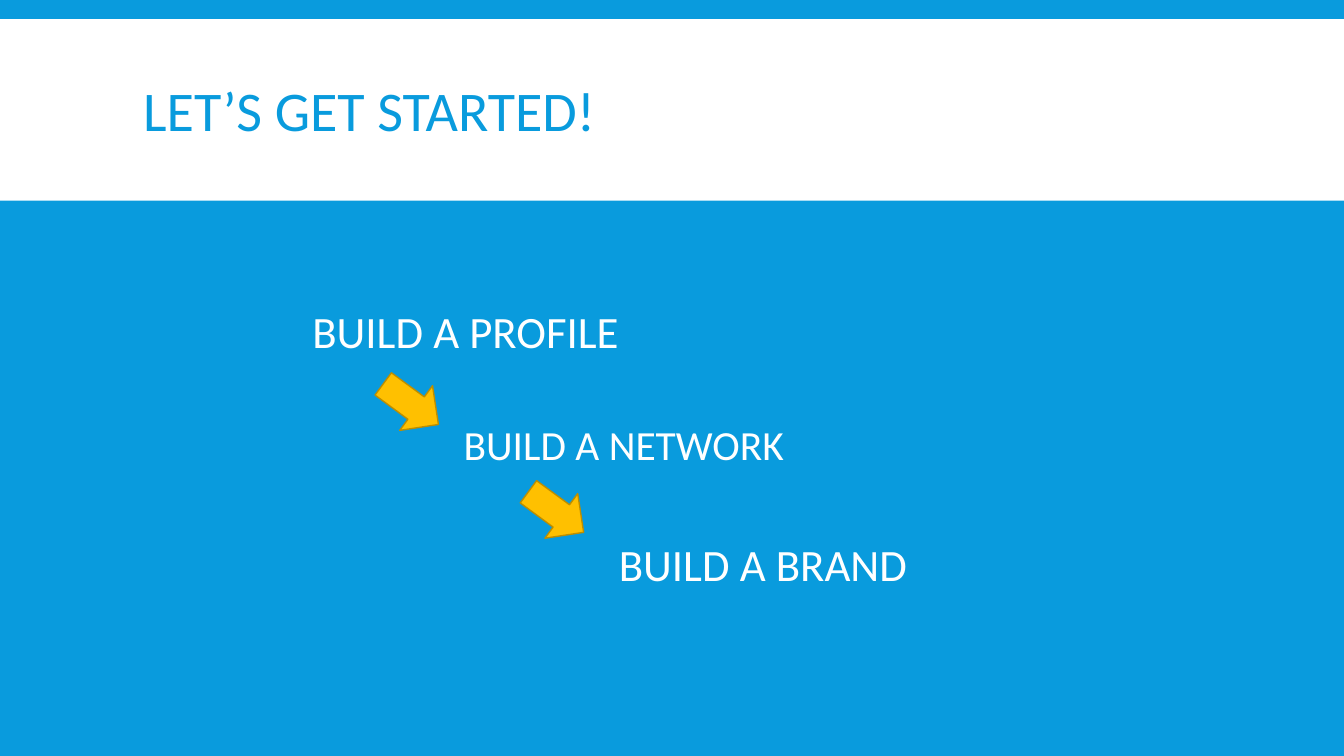
from pptx import Presentation
from pptx.dml.color import RGBColor
from pptx.enum.shapes import MSO_SHAPE as Shape
from pptx.enum.text import MSO_ANCHOR as Anchor, MSO_AUTO_SIZE as Fit, PP_ALIGN as Align
from pptx.util import Inches, Pt

COLORS = {"blue": "099BDD", "white": "FFFFFF", "gold": "FFC000", "edge": "BD8E00"}
FONT = "Calibri"
STEPS = [
    ("BUILD A PROFILE", 32, (3, 3.02, 3.64, 0.62)),
    ("BUILD A NETWORK", 29.6, (4.5, 4.16, 3.8, 0.67)),
    ("BUILD A BRAND", 32, (6.04, 5.34, 3.8, 0.67)),
]


def color(name):
    return RGBColor.from_string(COLORS[name])


def inches(box):
    return [Inches(n) for n in box]


def write(frame, text, size, tint, spacing):
    """Fill a text frame with one left-aligned line."""
    frame.word_wrap = True
    frame.auto_size = Fit.NONE
    frame.text = text
    para = frame.paragraphs[0]
    para.alignment = Align.LEFT
    para.line_spacing = spacing
    font = para.runs[0].font
    font.name, font.size = FONT, Pt(size)
    font.color.rgb = color(tint)
    return para


def add_header(slide, box):
    left, top, width, height = box
    band = slide.shapes.add_shape(Shape.RECTANGLE, *inches(box))
    band.shadow.inherit = False
    band.fill.solid()
    band.fill.fore_color.rgb = color("white")
    band.line.fill.background()
    # Keep the band behind the title placeholder
    band.element.getparent().insert(2, band.element)

    title = slide.shapes.title
    title.left, title.top, title.width, title.height = inches(
        (left + 1.32, top + 0.12, width - 2.63, height - 0.15))
    write(title.text_frame, "LET’S GET STARTED!", 40, "blue", 0.85)
    title.text_frame.vertical_anchor = Anchor.MIDDLE


def add_step(slide, text, size, box):
    label = slide.shapes.add_textbox(*inches(box))
    label.text_frame.vertical_anchor = Anchor.TOP
    para = write(label.text_frame, text, size, "white", 0.9)
    para.space_before, para.space_after = Pt(12), Pt(2)


def add_arrow(slide, box):
    arrow = slide.shapes.add_shape(Shape.DOWN_ARROW, *inches(box))
    arrow.rotation = 306.3
    arrow.shadow.inherit = False
    arrow.fill.solid()
    arrow.fill.fore_color.rgb = color("gold")
    arrow.line.color.rgb = color("edge")
    arrow.line.width = Pt(1)


def main():
    deck = Presentation()
    deck.slide_width, deck.slide_height = Inches(13.33), Inches(7.5)
    slide = deck.slides.add_slide(deck.slide_layouts[5])
    slide.background.fill.solid()
    slide.background.fill.fore_color.rgb = color("blue")

    add_header(slide, (0, 0.19, 13.33, 1.8))
    for text, size, box in STEPS:
        add_step(slide, text, size, box)
    for left, top in [(3.8, 3.67), (5.24, 4.74)]:
        add_arrow(slide, (left, top, 0.55, 0.68))
    deck.save("out.pptx")


if __name__ == "__main__":
    main()
